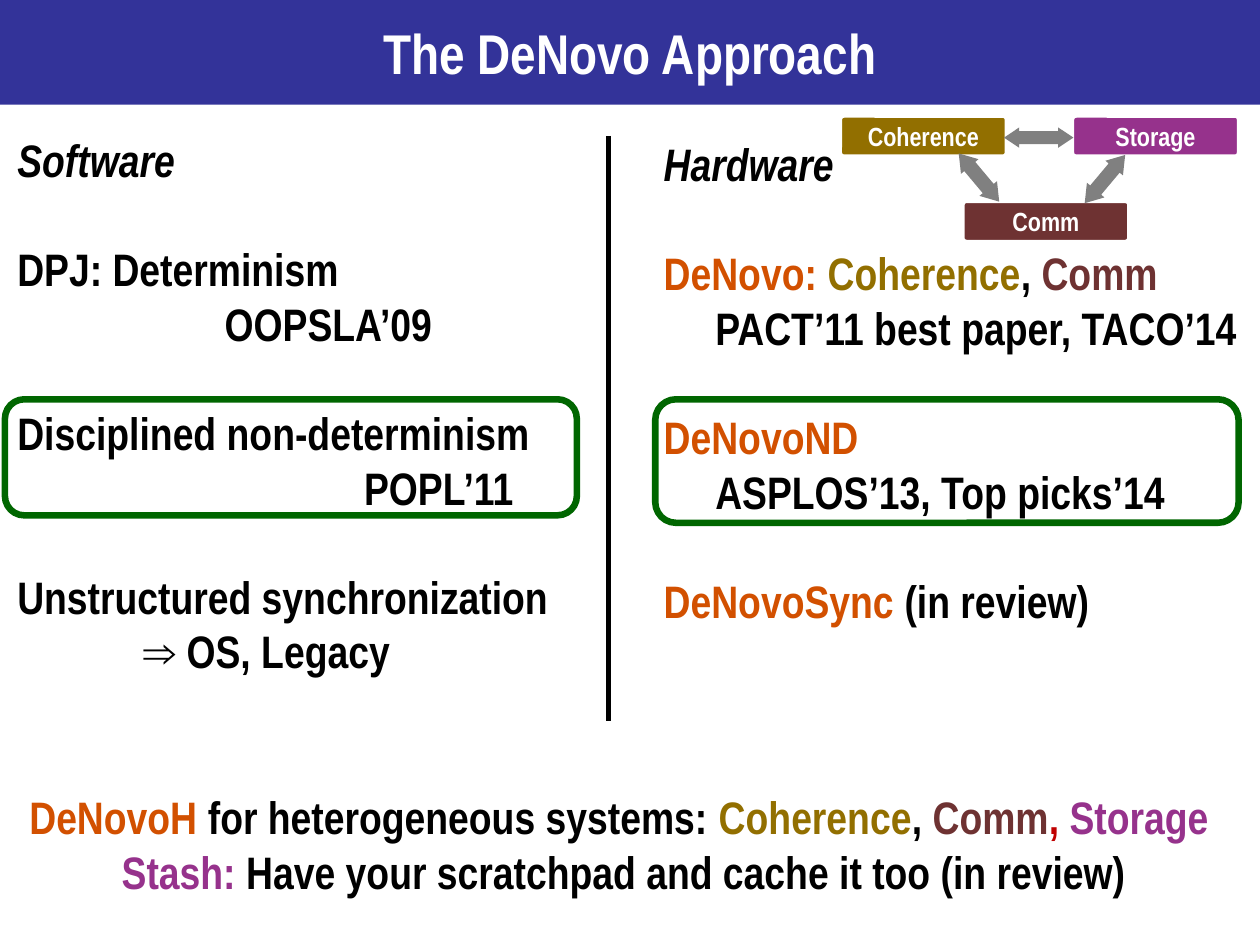
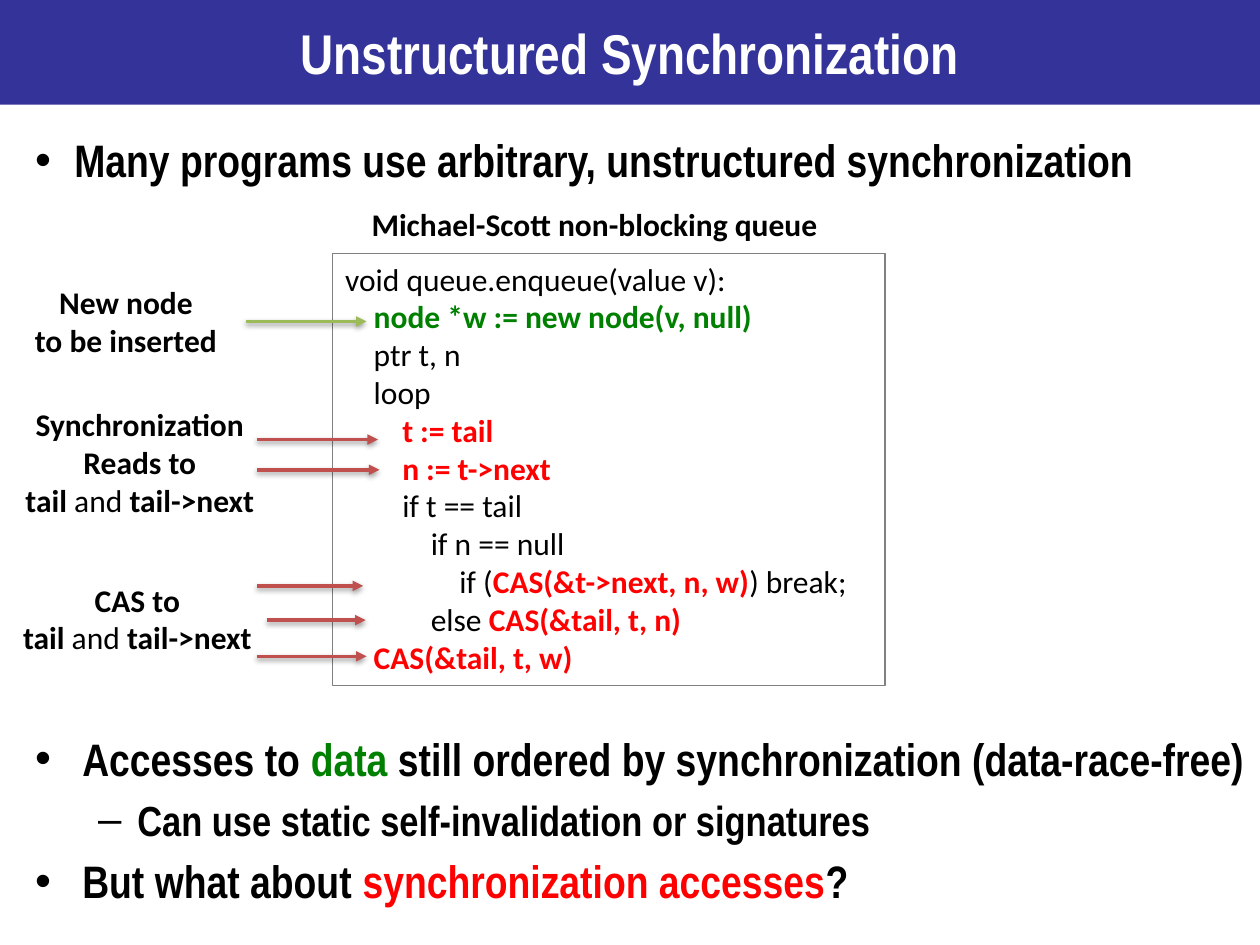
from dataclasses import dataclass

from lxml.etree import SubElement
from pptx import Presentation
from pptx.dml.color import RGBColor
from pptx.enum.shapes import MSO_CONNECTOR, MSO_SHAPE
from pptx.enum.text import MSO_ANCHOR, MSO_AUTO_SIZE, PP_ALIGN
from pptx.oxml.ns import qn
from pptx.util import Cm, Pt


@dataclass(frozen=True)
class Font:
    """Type face, size and weight of a paragraph."""
    name: str
    size: float
    bold: bool = True
    slant: bool = False


@dataclass(frozen=True)
class Theme:
    """Colours and type styles that the slides share."""
    band: str = "333399"
    white: str = "FFFFFF"
    black: str = "000000"
    gray: str = "808080"
    orange: str = "D25000"
    gold: str = "926F00"
    brown: str = "6E3232"
    purple: str = "96328C"
    crimson: str = "C00000"
    frame: str = "006600"
    green: str = "008000"
    red: str = "FF0000"
    lime: str = "9BBB59"
    brick: str = "C0504D"
    title: Font = Font("Arial Narrow", 32)
    text: Font = Font("Arial Narrow", 26)
    head: Font = Font("Arial Narrow", 26, slant=True)
    minor: Font = Font("Arial Narrow", 24)
    node: Font = Font("Arial Narrow", 15)
    label: Font = Font("Calibri", 18)
    code: Font = Font("Calibri", 18, bold=False)
    skip: float = 31.2
    step: float = 0.575


@dataclass(frozen=True)
class Row:
    """One paragraph: runs are strings or (text, colour, bold) tuples."""
    runs: tuple
    font: Font
    left: float = 0
    hang: float = 0
    gap: float = 0
    lead: float = 0
    mark: str = ""
    align: PP_ALIGN = PP_ALIGN.LEFT


T = Theme()


def rgb(code):
    """Turn a hex code into a colour."""
    return RGBColor.from_string(code)


def style(font, kind, color):
    """Apply a type style and colour to a font."""
    font.name, font.size = kind.name, Pt(kind.size)
    font.bold, font.italic = kind.bold, kind.slant
    font.color.rgb = rgb(color)


def write(para, row, color=T.black):
    """Fill a paragraph from a row."""
    props = para._p.get_or_add_pPr()
    props.set("marL", str(Cm(row.left)))
    props.set("indent", str(-Cm(row.hang)))
    if row.mark:
        SubElement(props, qn("a:buFont"), typeface="Arial")
        SubElement(props, qn("a:buChar"), char=row.mark)
    para.alignment = row.align
    para.space_before = Pt(row.gap)
    if row.lead:
        para.line_spacing = row.lead
    style(para.font, row.font, color)
    for item in row.runs:
        run = para.add_run()
        if isinstance(item, str):
            run.text = item
            continue
        run.text, tint, bold = item
        run.font.color.rgb = rgb(tint)
        if bold != row.font.bold:
            run.font.bold = bold


def fill_text(frame, rows):
    """Write rows into a text frame, one paragraph each."""
    frame.word_wrap = True
    for num, row in enumerate(rows):
        write(frame.add_paragraph() if num else frame.paragraphs[0], row)


def add_text(slide, spot, rows):
    """Add a text box and return it."""
    box = slide.shapes.add_textbox(*map(Cm, spot))
    fill_text(box.text_frame, rows)
    return box


def add_title(deck, text):
    """Add a slide whose title sits on the coloured band."""
    slide = deck.slides.add_slide(deck.slide_layouts[5])
    band = slide.shapes.title
    band.left, band.top = Cm(0), Cm(0)
    band.width, band.height = deck.slide_width, Cm(2.11)
    band.fill.solid()
    band.fill.fore_color.rgb = rgb(T.band)
    frame = band.text_frame
    frame.auto_size = MSO_AUTO_SIZE.NONE
    frame.vertical_anchor = MSO_ANCHOR.MIDDLE
    write(frame.paragraphs[0], Row((text,), T.title, align=PP_ALIGN.CENTER), T.white)
    return slide


def add_form(slide, kind, spot, fill=None, line=None, width=2):
    """Add a flat preset shape with optional fill and line."""
    form = slide.shapes.add_shape(kind, *map(Cm, spot))
    form.shadow.inherit = False
    if fill:
        form.fill.solid()
        form.fill.fore_color.rgb = rgb(fill)
    else:
        form.fill.background()
    if line:
        form.line.color.rgb = rgb(line)
        form.line.width = Pt(width)
    else:
        form.line.fill.background()
    return form


def add_node(slide, left, top, text, fill):
    """Add a labelled box of the hardware diagram."""
    node = add_form(slide, MSO_SHAPE.ROUNDED_RECTANGLE, (left, top, 3.35, 0.81), fill, T.white)
    node.adjustments[0] = 0.09
    frame = node.text_frame
    frame.margin_top = frame.margin_bottom = 0
    frame.vertical_anchor = MSO_ANCHOR.MIDDLE
    write(frame.paragraphs[0], Row((text,), T.node, align=PP_ALIGN.CENTER), T.white)


def add_link(slide, spot, turn):
    """Add a two-headed arrow between nodes."""
    link = add_form(slide, MSO_SHAPE.LEFT_RIGHT_ARROW, spot, T.gray)
    link.adjustments[0], link.adjustments[1] = 0.63, 0.75
    link.rotation = turn


def add_line(slide, ends, color, width):
    """Add a straight line and return it with its empty effect list."""
    line = slide.shapes.add_connector(MSO_CONNECTOR.STRAIGHT, *map(Cm, ends))
    line.line.color.rgb = rgb(color)
    line.line.width = Pt(width)
    return line, SubElement(line._element.spPr, qn("a:effectLst"))


def add_arrow(slide, start, end, level, color):
    """Add a level arrow with a soft shadow."""
    line, fx = add_line(slide, (start, level, end, level), color, 2)
    SubElement(line.line._get_or_add_ln(), qn("a:tailEnd"), type="triangle")
    shade = SubElement(fx, qn("a:outerShdw"), blurRad=str(Pt(3.1)), dist=str(Pt(1.6)),
                       dir="5400000", rotWithShape="0")
    tint = SubElement(shade, qn("a:srgbClr"), val=T.black)
    SubElement(tint, qn("a:alpha"), val="38000")


def add_label(slide, spot, *lines):
    """Add a centred note beside the code."""
    add_text(slide, spot, [Row(line, T.label, align=PP_ALIGN.CENTER) for line in lines])


def add_code(slide, spot, lines):
    """Add a framed listing of (depth, runs) lines."""
    box = add_text(slide, spot, [Row(runs, T.code, left=depth * T.step) for depth, runs in lines])
    box.line.color.rgb = rgb(T.gray)
    box.line.width = Pt(0.75)


def plan(deck):
    """Build the slide that pairs software with hardware."""
    slide = add_title(deck, "The DeNovo Approach")
    hue = {"Coherence": T.gold, "Comm": T.brown, "Storage": T.purple}
    add_text(slide, (13.13, 2.62, 12.27, 12.47), [
        Row(("Hardware",), T.head),
        Row((("DeNovo: ", T.orange, True), ("Coherence", T.gold, True), ", ",
             ("Comm", T.brown, True)), T.text, gap=T.skip),
        Row(("PACT’11 best paper, TACO’14",), T.text, left=1.04),
        Row((("DeNovoND", T.orange, True),), T.text, gap=T.skip),
        Row(("ASPLOS’13, Top picks’14",), T.text, left=1.04),
        Row((("DeNovoSync ", T.orange, True), "(in review)"), T.text, gap=T.skip)])
    for (text, fill), (left, top) in zip(hue.items(), ((16.94, 2.34), (19.41, 4.06), (21.62, 2.34))):
        add_node(slide, left, top, text, fill)
    add_link(slide, (20.24, 2.57, 1.4, 0.41), 0)
    add_link(slide, (21.64, 3.38, 1.27, 0.46), 310)
    add_link(slide, (19.1, 3.35, 1.27, 0.46), 50)
    add_text(slide, (0.1, 2.54, 11.9, 12.47), [
        Row(("Software",), T.head),
        Row(("DPJ: Determinism",), T.text, gap=T.skip),
        Row(("OOPSLA’09",), T.text, left=4.18),
        Row(("Disciplined non-determinism",), T.text, gap=T.skip),
        Row(("POPL’11",), T.text, left=6.99),
        Row(("Unstructured synchronization",), T.text, gap=T.skip),
        Row(("⇒ OS, Legacy",), T.text, left=2.54)])
    add_line(slide, (12.27, 2.74, 12.27, 14.53), T.black, 3)
    add_text(slide, (0.2, 15.24, 24.77, 3.02), [
        Row((("DeNovoH ", T.orange, True), "for heterogeneous systems: ",
             ("Coherence", T.gold, True), ", ", ("Comm", T.brown, True),
             (", ", T.crimson, True), ("Storage ", T.purple, True)),
            T.text, lead=1.5, align=PP_ALIGN.CENTER),
        Row((("Stash: ", T.purple, True), "Have your scratchpad and cache it too (in review)"),
            T.text, align=PP_ALIGN.CENTER)])
    for spot in ((13.21, 8.05, 11.76, 2.49), (0.1, 8.05, 11.53, 2.34)):
        add_form(slide, MSO_SHAPE.ROUNDED_RECTANGLE, spot, line=T.frame, width=3.75)


def sync(deck):
    """Build the slide on unstructured synchronization."""
    slide = add_title(deck, "Unstructured Synchronization")
    add_code(slide, (6.71, 5.11, 11.13, 8.71), [
        (0, ("void queue.enqueue(value v):",)),
        (1, (("node *w := new node(v, null)", T.green, True),)),
        (1, ("ptr t, n",)),
        (1, ("loop",)),
        (2, (("t := tail", T.red, True),)),
        (2, (("n := t->next", T.red, True),)),
        (2, ("if t == tail",)),
        (3, ("if n == null",)),
        (4, ("if (", ("CAS(&t->next, n, w)", T.red, True), ") break;")),
        (3, ("else ", ("CAS(&tail, t, n)", T.red, True))),
        (1, (("CAS(&tail, t, w)", T.red, True),))])
    add_text(slide, (0.46, 14.61, 24.94, 4.01), [
        Row(("Accesses to ", ("data ", T.green, True),
             "still ordered by synchronization (data-race-free)"),
            T.text, 0.95, 0.95, mark="•"),
        Row(("Can use static self-invalidation or signatures",),
            T.minor, 2.06, 0.79, gap=5, mark="–"),
        Row(("But what about ", ("synchronization accesses", T.red, True), "?"),
            T.text, 0.95, 0.95, gap=5, mark="•")])
    add_text(slide, (7.24, 4.01, 10.2, 1.02), [Row(("Michael-Scott non-blocking queue",), T.label)])
    tails = ("tail", (" and ", T.black, False), "tail->next")
    add_label(slide, (0.1, 8.05, 5.44, 2.57), ("Synchronization",), ("Reads to",), tails)
    add_label(slide, (0.43, 5.59, 4.22, 1.8), ("New node",), ("to be inserted",))
    add_label(slide, (0.05, 11.58, 5.44, 1.8), ("CAS to",), tails)
    add_arrow(slide, 4.95, 7.39, 6.48, T.lime)
    for start, end, level in ((5.18, 7.62, 8.86), (5.18, 7.65, 9.47), (5.18, 7.32, 11.81),
                              (5.38, 7.37, 12.5), (5.18, 7.39, 13.23)):
        add_arrow(slide, start, end, level, T.brick)
    add_text(slide, (0.46, 2.54, 24.1, 1.37), [
        Row(("Many programs use arbitrary, unstructured synchronization",),
            T.text, 0.79, 0.79, mark="•")])


def main():
    """Build and save the deck."""
    deck = Presentation()
    deck.slide_width, deck.slide_height = Cm(25.4), Cm(19.05)
    plan(deck)
    sync(deck)
    deck.save("out.pptx")


if __name__ == "__main__":
    main()
